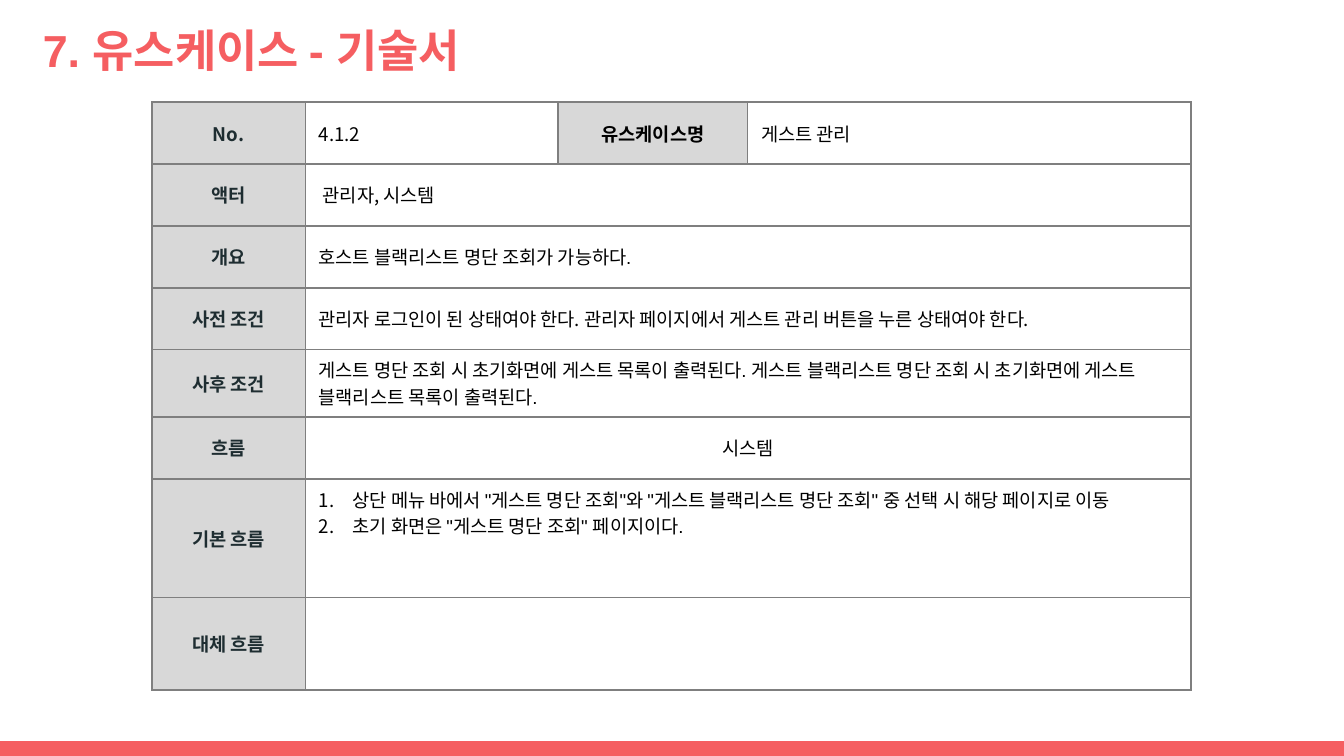
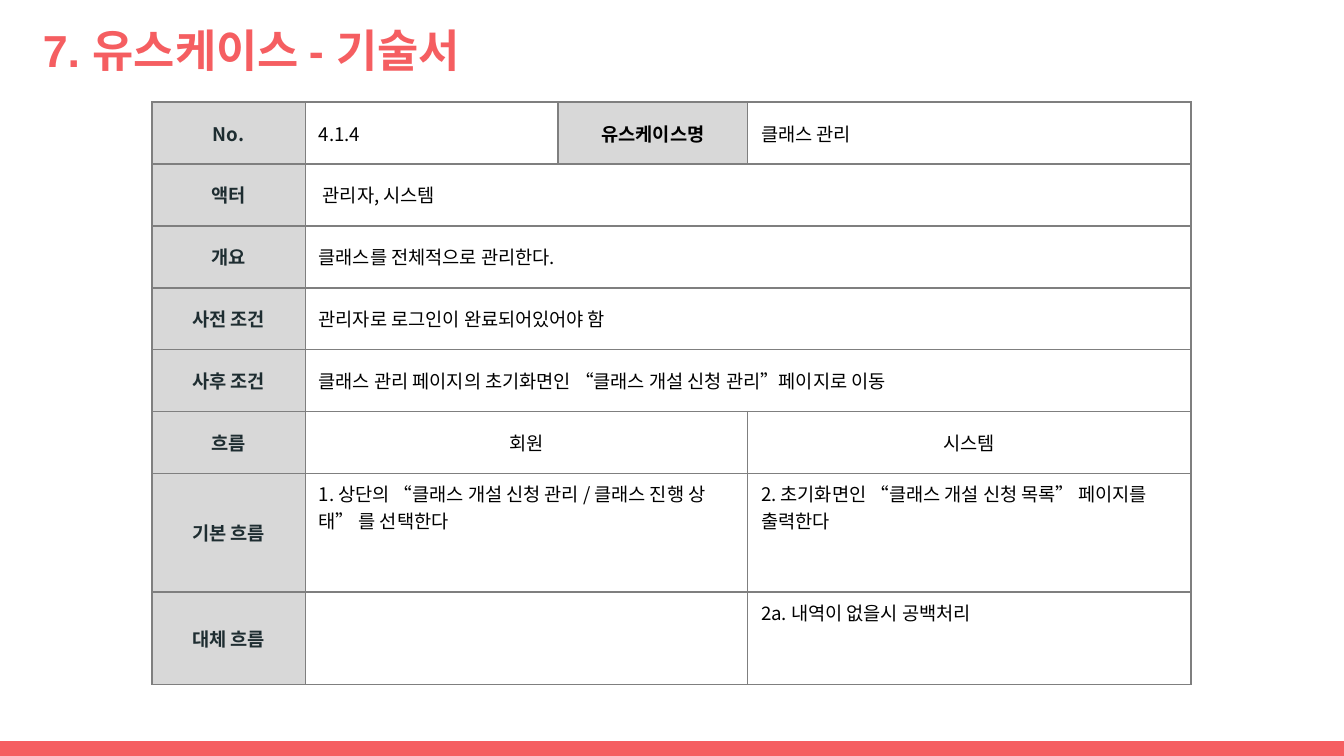
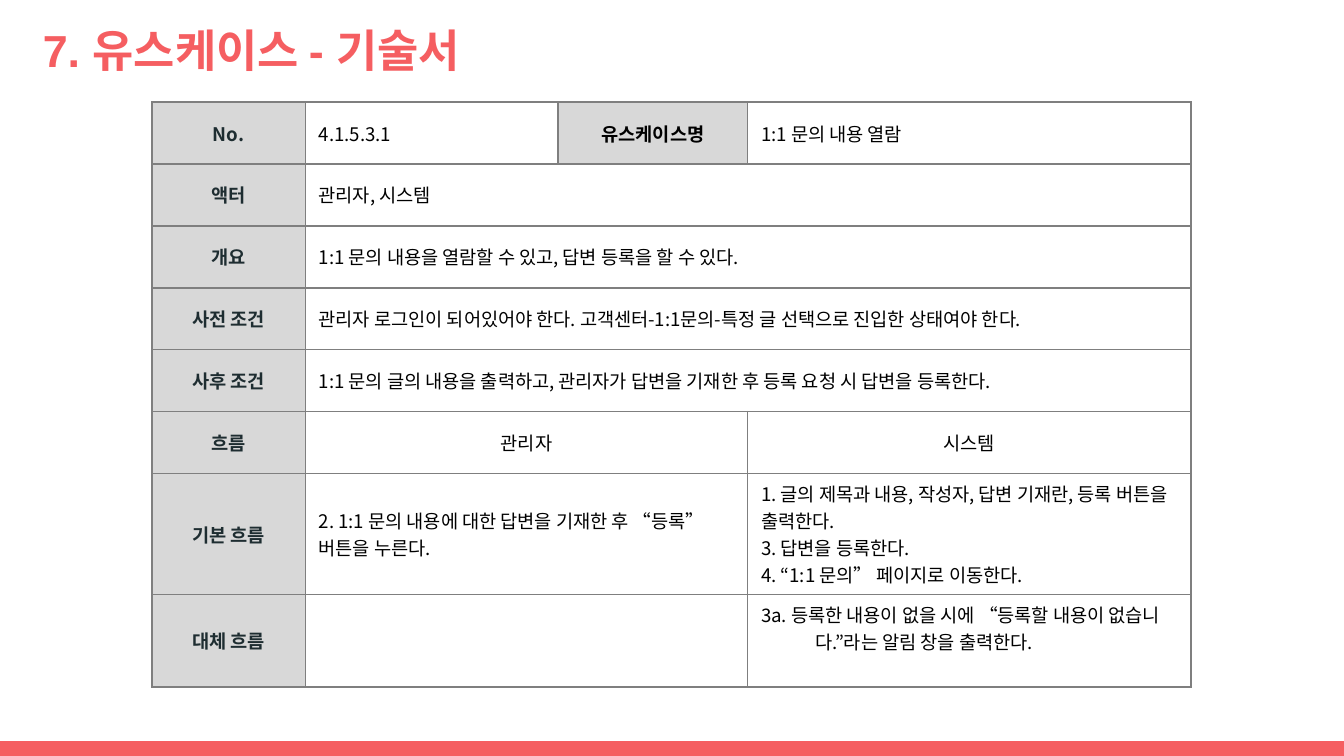
"""Build the use case specification slides."""
from dataclasses import dataclass

from lxml import etree
from pptx import Presentation
from pptx.dml.color import RGBColor
from pptx.enum.shapes import MSO_SHAPE
from pptx.enum.text import MSO_ANCHOR, PP_ALIGN
from pptx.oxml.ns import qn
from pptx.util import Cm, Pt

RECTANGLE = MSO_SHAPE.RECTANGLE
TOP, MIDDLE = MSO_ANCHOR.TOP, MSO_ANCHOR.MIDDLE
LEFT, CENTER = PP_ALIGN.LEFT, PP_ALIGN.CENTER

CORAL = RGBColor(0xF5, 0x5E, 0x61)
INK = RGBColor(0x1E, 0x2D, 0x31)
BLACK = RGBColor(0, 0, 0)
LABEL_GRAY = RGBColor(0xD8, 0xD8, 0xD8)
BORDER_GRAY = RGBColor(0x7F, 0x7F, 0x7F)

KOREAN = "Noto Sans CJK KR"
ARIAL = "Arial"
TITLE = "7. 유스케이스 - 기술서"
LABELS = ["No.", "액터", "개요", "사전 조건", "사후 조건", "흐름", "기본 흐름", "대체 흐름"]
COLUMN_WIDTHS = [2.9, 4.78, 3.58, 8.38]
ROW_HEIGHTS = [1.17] * 6 + [2.24, 1.75]
FLOW, BASIC, ALTERNATIVE = 5, 6, 7


@dataclass
class Lane:
    """One actor's column in the flow rows."""
    actor: str
    basic: list
    alternative: str = ""
    numbered: bool = False
    basic_anchor: int = TOP
    hanging: float = 0
    font: str = KOREAN


@dataclass
class UseCase:
    """Content of one specification table."""
    number: str
    name: str
    summary: list
    lanes: list
    arial_texts: tuple = ()


USE_CASES = [
    UseCase(
        "4.1.2", "게스트 관리",
        [" 관리자, 시스템",
         "호스트 블랙리스트 명단 조회가 가능하다.",
         "관리자 로그인이 된 상태여야 한다. 관리자 페이지에서 게스트 관리 버튼을 누른 상태여야 한다.",
         "게스트 명단 조회 시 초기화면에 게스트 목록이 출력된다. "
         "게스트 블랙리스트 명단 조회 시 초기화면에 게스트 블랙리스트 목록이 출력된다."],
        [Lane("시스템",
              ['상단 메뉴 바에서 "게스트 명단 조회"와 "게스트 블랙리스트 명단 조회" 중 선택 시 해당 페이지로 이동',
               '초기 화면은 "게스트 명단 조회" 페이지이다.'],
              numbered=True, font=ARIAL)],
        arial_texts=("name", 2, 4)),
    UseCase(
        "4.1.4", "클래스 관리",
        [" 관리자, 시스템",
         "클래스를 전체적으로 관리한다.",
         "관리자로 로그인이 완료되어있어야 함",
         "클래스 관리 페이지의 초기화면인 “클래스 개설 신청 관리”페이지로 이동"],
        [Lane("회원", ["1. 상단의 “클래스 개설 신청 관리 / 클래스 진행 상태” 를 선택한다"]),
         Lane("시스템", ["2. 초기화면인 “클래스 개설 신청 목록” 페이지를 출력한다"],
              "2a. 내역이 없을시 공백처리")]),
    UseCase(
        "4.1.5.3.1", "1:1 문의 내용 열람",
        ["관리자, 시스템",
         "1:1 문의 내용을 열람할 수 있고, 답변 등록을 할 수 있다.",
         "관리자 로그인이 되어있어야 한다. 고객센터-1:1문의-특정 글 선택으로 진입한 상태여야 한다.",
         "1:1 문의 글의 내용을 출력하고, 관리자가 답변을 기재한 후 등록 요청 시 답변을 등록한다."],
        [Lane("관리자", ["2. 1:1 문의 내용에 대한 답변을 기재한 후 “등록” 버튼을 누른다."],
              basic_anchor=MIDDLE),
         Lane("시스템",
              ["1. 글의 제목과 내용, 작성자, 답변 기재란, 등록 버튼을 출력한다.",
               "3. 답변을 등록한다.",
               "4. “1:1 문의” 페이지로 이동한다."],
              "3a. 등록한 내용이 없을 시에 “등록할 내용이 없습니다.”라는 알림 창을 출력한다.",
              hanging=1.02)]),
]


def add_span(para, text, size, color, bold=False, font=KOREAN):
    """Add one formatted run, with a Korean font for its Hangul."""
    span = para.add_run()
    span.text = text
    span.font.size = Pt(size)
    span.font.bold = bold
    span.font.color.rgb = color
    span.font.name = font
    etree.SubElement(span.font._element, qn("a:ea"), typeface=KOREAN)


def hang_indent(para, depth, numbered=False):
    """Hang the first line of a paragraph, with automatic numbers on request."""
    properties = para._p.get_or_add_pPr()
    properties.set("marL", str(Cm(depth)))
    properties.set("indent", str(-Cm(depth)))
    if numbered:
        color = etree.SubElement(properties, qn("a:buClr"))
        etree.SubElement(color, qn("a:srgbClr"), val=str(BLACK))
        etree.SubElement(properties, qn("a:buAutoNum"), type="arabicPeriod")


def frame_cell(cell):
    """Give a cell thin gray borders and no fill."""
    properties = cell._tc.get_or_add_tcPr()
    for side in ("a:lnL", "a:lnR", "a:lnT", "a:lnB"):
        line = etree.SubElement(properties, qn(side), w=str(Pt(1)))
        fill = etree.SubElement(line, qn("a:solidFill"))
        etree.SubElement(fill, qn("a:srgbClr"), val=str(BORDER_GRAY))
    cell.fill.background()


def write_cell(cell, lines, align=LEFT, anchor=MIDDLE, color=BLACK, bold=False,
               font=KOREAN, hanging=0, numbered=False):
    """Write each line as a paragraph of the cell."""
    cell.vertical_anchor = anchor
    frame = cell.text_frame
    for index, text in enumerate(lines):
        para = frame.add_paragraph() if index else frame.paragraphs[0]
        para.alignment = align
        if hanging:
            hang_indent(para, hanging, numbered)
        add_span(para, text, 10, color, bold, font)


def write_label(cell, text, color=INK):
    """Write a bold centred label on gray."""
    cell.fill.solid()
    cell.fill.fore_color.rgb = LABEL_GRAY
    write_cell(cell, [text], CENTER, color=color, bold=True)


def add_grid(page):
    """Add the empty bordered table."""
    holder = page.shapes.add_table(
        len(ROW_HEIGHTS), len(COLUMN_WIDTHS), Cm(2.87), Cm(1.93),
        Cm(sum(COLUMN_WIDTHS)), Cm(sum(ROW_HEIGHTS)))
    table = holder.table
    table.first_row = table.horz_banding = False
    for column, width in zip(table.columns, COLUMN_WIDTHS):
        column.width = Cm(width)
    for row, height in zip(table.rows, ROW_HEIGHTS):
        row.height = Cm(height)
    for cell in table.iter_cells():
        frame_cell(cell)
    return table


def write_lane(table, lane, first, last):
    """Fill the flow rows of one lane across its columns."""
    for row in (FLOW, BASIC, ALTERNATIVE):
        if last > first:
            table.cell(row, first).merge(table.cell(row, last))
    write_cell(table.cell(FLOW, first), [lane.actor], CENTER, font=lane.font)
    write_cell(table.cell(BASIC, first), lane.basic, anchor=lane.basic_anchor,
               font=lane.font, hanging=0.64 if lane.numbered else 0,
               numbered=lane.numbered)
    if lane.alternative:
        write_cell(table.cell(ALTERNATIVE, first), [lane.alternative], anchor=TOP,
                   hanging=lane.hanging)


def add_specification(page, case):
    """Add the table that describes one use case."""
    def font_of(key):
        """Pick the Latin font of a value."""
        return ARIAL if key in case.arial_texts else KOREAN

    table = add_grid(page)
    for row, label in enumerate(LABELS):
        write_label(table.cell(row, 0), label)
    write_cell(table.cell(0, 1), [case.number])
    write_label(table.cell(0, 2), "유스케이스명", BLACK)
    write_cell(table.cell(0, 3), [case.name], font=font_of("name"))
    for row, text in enumerate(case.summary, start=1):
        table.cell(row, 1).merge(table.cell(row, 3))
        write_cell(table.cell(row, 1), [text], font=font_of(row))
    spans = [(1, 3)] if len(case.lanes) == 1 else [(1, 2), (3, 3)]
    for lane, (first, last) in zip(case.lanes, spans):
        write_lane(table, lane, first, last)


def add_title(page):
    """Place and fill the title placeholder."""
    title = page.shapes.title
    title.left, title.top, title.width, title.height = Cm(0.56), Cm(0.18), Cm(23.67), Cm(1.52)
    frame = title.text_frame
    frame.margin_left = frame.margin_right = Cm(0.25)
    frame.margin_top = frame.margin_bottom = Cm(0.25)
    frame.vertical_anchor = MIDDLE
    para = frame.paragraphs[0]
    para.alignment = LEFT
    add_span(para, TITLE, 24, CORAL, True, ARIAL)


def add_layout_band(page, deck):
    """Draw the bottom band and move it to the shared layout."""
    height = Cm(0.28)
    band = page.shapes.add_shape(RECTANGLE, 0, deck.slide_height - height,
                                 deck.slide_width, height)
    band.shadow.inherit = False
    band.fill.solid()
    band.fill.fore_color.rgb = CORAL
    band.line.fill.background()
    page.slide_layout.shapes.element.append(band.element)


def main():
    """Build and save the deck."""
    deck = Presentation()
    deck.slide_width, deck.slide_height = Cm(25.4), Cm(14.29)
    layout = deck.slide_layouts[5]
    for case in USE_CASES:
        page = deck.slides.add_slide(layout)
        add_title(page)
        add_specification(page, case)
    add_layout_band(page, deck)
    deck.save("out.pptx")


if __name__ == "__main__":
    main()
